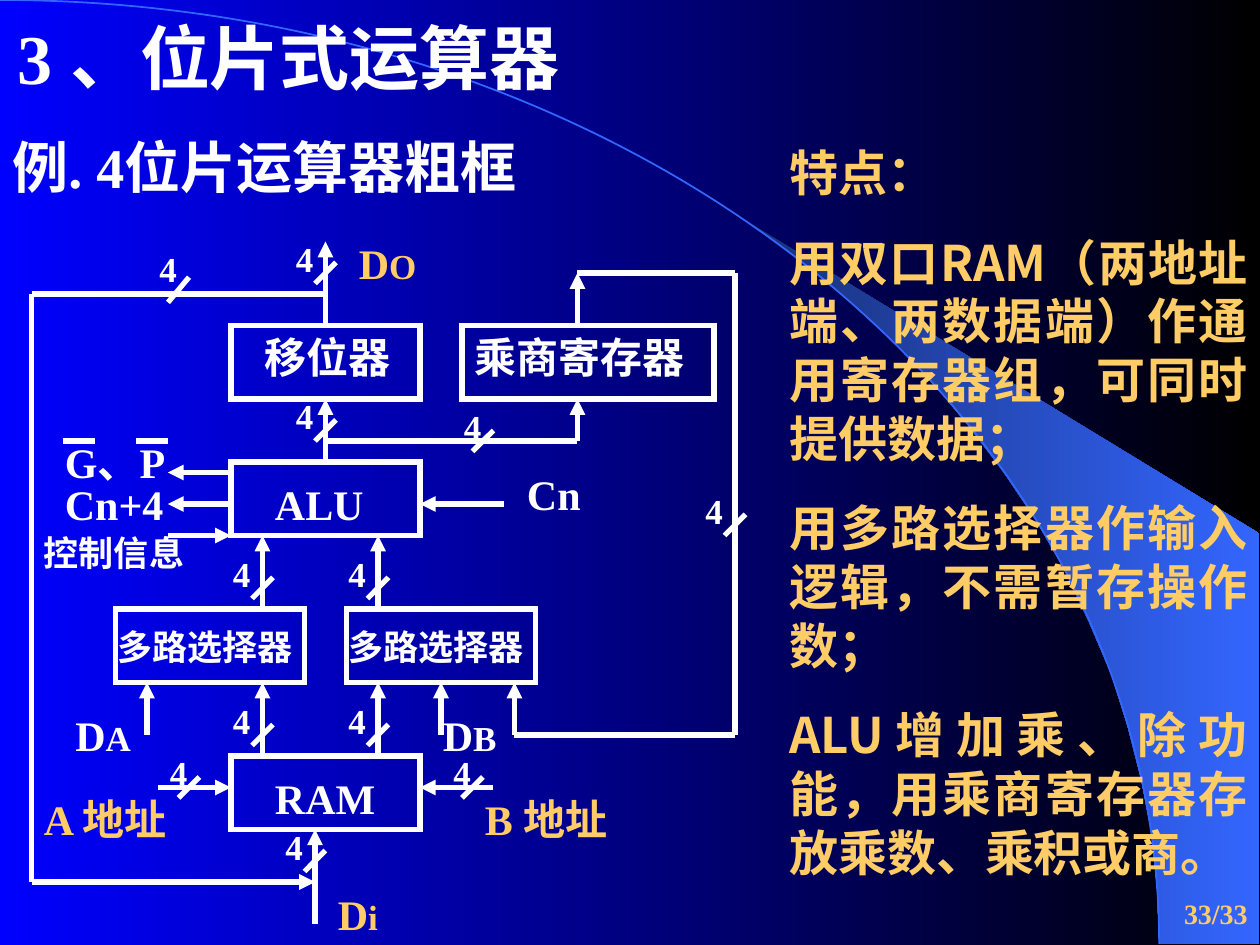
from math import cos, sin, radians
from pptx import Presentation, util as u
from pptx.dml.color import RGBColor
from pptx.enum import shapes as s, text as t
from pptx.oxml.ns import qn
from lxml import etree

PX = 7620  # 120 px to the inch
WHITE = RGBColor(0xFF, 0xFF, 0xFF)
GOLD = RGBColor(0xFF, 0xCC, 0x66)
BLUE = RGBColor(0x00, 0x00, 0xFF)
BLACK = RGBColor(0x00, 0x00, 0x00)
NAVY = RGBColor(0x18, 0x2F, 0x76)
SKY = RGBColor(0x33, 0x66, 0xFF)
SERIF = "Times New Roman"
SANS = "Noto Sans CJK SC"

prs = Presentation()
prs.slide_width, prs.slide_height = 1200 * PX, 900 * PX
slide = prs.slides.add_slide(prs.slide_layouts[6])
draw = slide.shapes


def put(x, y, w, h, *paras, size=24, color=WHITE, font=SERIF, small=20,
        align=None, gap=0, anchor=t.MSO_ANCHOR.TOP):
    """Add a text box; a tuple paragraph is a letter and its smaller index."""
    box = draw.add_textbox(x * PX, y * PX, w * PX, h * PX)
    frame = box.text_frame
    frame.word_wrap = True
    frame.vertical_anchor = anchor
    for i, para in enumerate(paras):
        p = frame.paragraphs[0] if i == 0 else frame.add_paragraph()
        p.alignment = align
        p._p.get_or_add_pPr().set("hangingPunct", "0")
        if i:
            p.space_before = u.Pt(gap)
        parts = (para,) if isinstance(para, str) else para
        if max(parts[0]) > "\u2fff":  # Chinese lines are set tighter
            p.line_spacing = u.Pt(round(1.2 * size, 1))
        for part, pts in zip(parts, (size, small)):
            run = p.add_run()
            run.text = part
            run.font.size = u.Pt(pts)
            run.font.bold = True
            run.font.name = font
            run.font.color.rgb = color
            east = etree.SubElement(run.font._element, qn("a:ea"))
            east.set("typeface", SANS)


def wire(x1, y1, x2, y2, arrow=False):
    """Add a white line, with an arrowhead at its end if asked."""
    line = draw.add_connector(s.MSO_CONNECTOR.STRAIGHT,
                              x1 * PX, y1 * PX, x2 * PX, y2 * PX)
    line.line.color.rgb = WHITE
    line.line.width = u.Pt(3)
    if arrow:
        etree.SubElement(line.line._get_or_add_ln(), qn("a:tailEnd"), type="triangle")
    etree.SubElement(line._element.spPr, qn("a:effectLst"))


# Background: gradient and bright wedge along a quarter ellipse
turns = [radians(50 - 50 * i / 15) for i in range(16)]
edge = [(round(1104 * cos(a)), round(899 * (1 - sin(a)))) for a in turns]
path = draw.build_freeform(*edge[0], scale=PX)
path.add_line_segments(edge[1:] + [(1199, 899), (1199, 508)], close=True)
wedge = path.convert_to_shape()
wedge.shadow.inherit = False
wedge.line.fill.background()

for fill, ends in ((slide.background.fill, (BLUE, BLACK)), (wedge.fill, (NAVY, SKY))):
    fill.gradient()
    fill.gradient_angle = 0
    for stop, tone in zip(fill.gradient_stops, ends):
        stop.color.rgb = tone

# Arc: the three points after the start become one Bezier segment
path = draw.build_freeform(0, 0, scale=PX)
path.add_line_segments([(610, 0), (1104, 402), (1104, 899)], close=False)
curve = path.convert_to_shape()
curve.shadow.inherit = False
curve.fill.background()
curve.line.color.rgb = SKY
curve.line.width = u.Pt(1)
track = curve._element.find(".//" + qn("a:path"))
bend = etree.SubElement(track, qn("a:cubicBezTo"))
for leg in track.findall(qn("a:lnTo")):
    bend.append(leg[0])
    track.remove(leg)

# Headings and the list of features
put(5, 8, 930, 92, "3 、位片式运算器", size=40)
put(0, 120, 540, 77, "例. 4位片运算器粗框", size=32)
put(740, 130, 460, 716, "特点：",
    "用双口RAM（两地址端、两数据端）作通用寄存器组，可同时提供数据；",
    "用多路选择器作输入逻辑，不需暂存操作数；",
    "ALU增加乘、除功能，用乘商寄存器存放乘数、乘积或商。",
    size=28, color=GOLD, font=SANS, align=t.PP_ALIGN.JUSTIFY, gap=17.5)

# Units: frame corner and width, then label corner and size
units = [
    ("移位器", 220, 310, 180, 240, 310, 24),
    ("乘商寄存器", 440, 310, 240, 440, 310, 24),
    ("ALU", 220, 440, 180, 250, 450, 24),
    ("多路选择器", 110, 580, 180, 100, 590, 20),
    ("多路选择器", 330, 580, 180, 320, 590, 20),
    ("RAM", 220, 720, 180, 250, 730, 24),
]
for name, x, y, w, tx, ty, size in units:
    unit = draw.add_shape(s.MSO_SHAPE.RECTANGLE, x * PX, y * PX, w * PX, 70 * PX)
    unit.shadow.inherit = False
    unit.fill.background()
    unit.line.color.rgb = WHITE
    unit.line.width = u.Pt(3)
    etree.SubElement(unit.line._get_or_add_ln(), qn("a:miter"), lim="800000")
    put(tx, ty, 270, 60, name, size=size)

# Arrows
for ends in [
    (310, 310, 310, 230), (550, 310, 550, 260),  # out of the top row
    (310, 440, 310, 380), (550, 420, 550, 380),  # into the top row
    (250, 580, 250, 510), (360, 580, 360, 510),  # selectors to ALU
    (250, 720, 250, 650), (360, 720, 360, 650),  # RAM to selectors
    (140, 700, 140, 650), (420, 700, 420, 650), (490, 700, 490, 650),
    (220, 450, 160, 450), (220, 480, 160, 480), (160, 510, 220, 510),
    (480, 480, 400, 480),  # carry in
    (150, 750, 220, 750), (470, 750, 400, 750),  # addresses
    (300, 880, 300, 790), (30, 840, 300, 840),  # data in
]:
    wire(*ends, arrow=True)

# Plain wires, then the bars over G and P
for ends in [
    (30, 280, 310, 280), (30, 280, 30, 840), (310, 420, 550, 420),
    (550, 260, 700, 260), (700, 260, 700, 700), (490, 700, 700, 700),
    (60, 420, 90, 420), (130, 420, 160, 420),
]:
    wire(*ends)

# Bus widths: slash centre, label shift to the left and up, half height of slash
for x, y, left, up, half in [
    (170, 276, 30, 46, 12), (460, 420, 30, 40, 10),
    (180, 750, 30, 40, 10), (450, 750, 30, 40, 10),
    *((x, y, 40, 40, 10) for x, y in [
        (310, 260), (310, 410), (700, 500), (300, 820),
        (250, 560), (360, 560), (250, 700), (360, 700)]),
]:
    wire(x + 10, y - half, x - 10, y + half)
    put(x - left, y - up, 60, 53, "4", size=20)

# Signal names
for label, x, y, w, color in [
    (("D", "O"), 330, 220, 80, GOLD), (("D", "i"), 310, 840, 80, GOLD),
    (("D", "A"), 60, 670, 90, WHITE), (("D", "B"), 410, 670, 90, WHITE),
    ("A 地址", 30, 750, 170, GOLD), ("B 地址", 450, 750, 160, GOLD),
    ("Cn", 490, 440, 90, WHITE), ("G、P", 50, 410, 160, WHITE),
    ("Cn+4", 50, 450, 140, WHITE),
]:
    put(x, y, w, 60, label, color=color)
put(30, 500, 200, 53, "控制信息", size=20)

# Page number
put(902, 840, 298, 60, "33/33", size=16, color=GOLD,
    align=t.PP_ALIGN.RIGHT, anchor=t.MSO_ANCHOR.MIDDLE)

prs.save("out.pptx")
